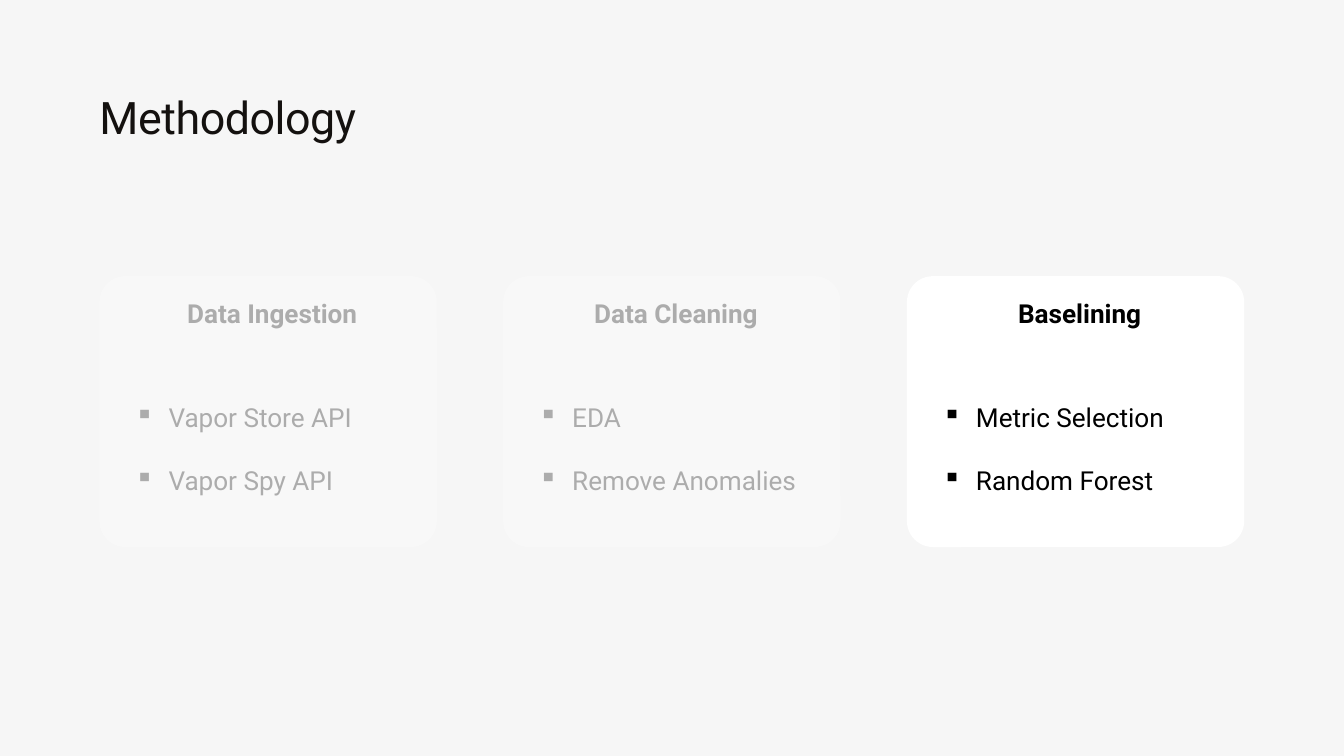
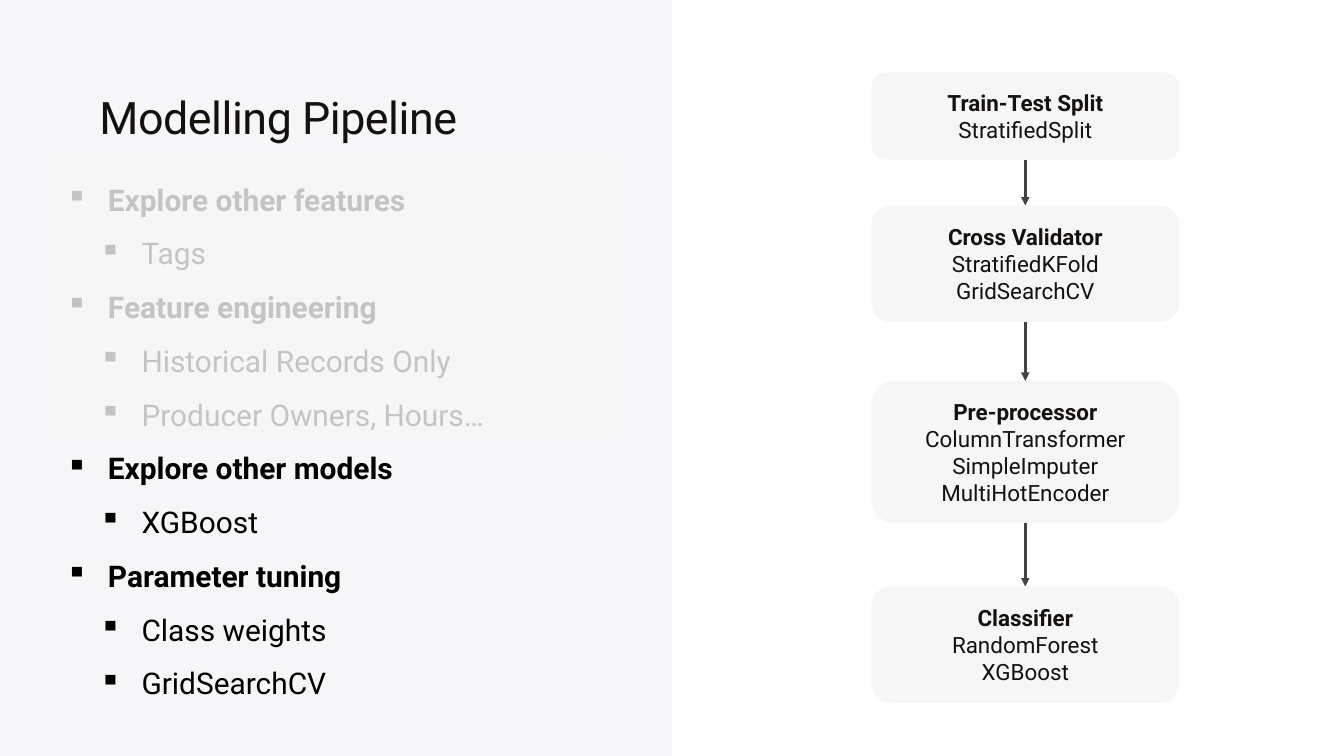
from itertools import pairwise

from lxml import etree
from pptx import Presentation
from pptx.dml.color import RGBColor
from pptx.enum.shapes import MSO_CONNECTOR, MSO_SHAPE
from pptx.enum.text import MSO_ANCHOR, MSO_AUTO_SIZE, PP_ALIGN
from pptx.oxml.ns import qn
from pptx.util import Cm, Pt

RECT, ROUNDED = MSO_SHAPE.RECTANGLE, MSO_SHAPE.ROUNDED_RECTANGLE
STRAIGHT = MSO_CONNECTOR.STRAIGHT
TOP, MIDDLE = MSO_ANCHOR.TOP, MSO_ANCHOR.MIDDLE
LEFT, CENTER = PP_ALIGN.LEFT, PP_ALIGN.CENTER
GROW = MSO_AUTO_SIZE.SHAPE_TO_FIT_TEXT

FONT = "Roboto"
INK, BLACK, WHITE = "14110F", "000000", "FFFFFF"
MIST, PANEL, ARROW = "F6F6F6", "F6F6F8", "434343"
WIDTH, HEIGHT = 50.8, 28.58
TITLE_BOX = (3.76, 3.23, 43.28, 2.13)
TITLE_FRAME = dict(margin_left=0, margin_top=0, margin_right=0, margin_bottom=0,
                   word_wrap=True, vertical_anchor=TOP, auto_size=GROW)

STAGES = [
    ("Data Ingestion", ["Vapor Store API", "Vapor Spy API"]),
    ("Data Cleaning", ["EDA", "Remove Anomalies"]),
    ("Baselining", ["Metric Selection", "Random Forest"]),
]
STAGE_VEILS = [(2.34, 9.42, 15.24, 12.5), (17.78, 9.32, 15.24, 12.5)]

PLAN = [
    ("Explore other features", ["Tags"]),
    ("Feature engineering", ["Historical Records Only", "Producer Owners, Hours…"]),
    ("Explore other models", ["XGBoost"]),
    ("Parameter tuning", ["Class weights", "GridSearchCV"]),
]
STEPS = [
    (2.74, 3.3, ["Train-Test Split", "StratifiedSplit"]),
    (7.77, 4.4, ["Cross Validator", "StratifiedKFold", "GridSearchCV"]),
    (14.4, 5.38, ["Pre-processor", "ColumnTransformer", "SimpleImputer", "MultiHotEncoder"]),
    (22.17, 4.4, ["Classifier", "RandomForest", "XGBoost"]),
]


def color(hex_code):
    return RGBColor.from_string(hex_code)


def cm(box):
    return [Cm(length) for length in box]


def apply(target, values):
    for name, value in values.items():
        setattr(target, name, value)


def write(paragraph, text, size, ink, bold=False, **layout):
    apply(paragraph, layout)
    run = paragraph.add_run()
    run.text = text
    apply(run.font, dict(name=FONT, size=Pt(size), bold=bold))
    run.font.color.rgb = color(ink)
    return run


def bullet(paragraph, margin, hanging):
    properties = paragraph._p.get_or_add_pPr()
    properties.set("marL", str(Cm(margin)))
    properties.set("indent", str(-Cm(hanging)))
    etree.SubElement(properties, qn("a:buChar")).set("char", "▪")


def paragraphs(frame, count):
    return [frame.paragraphs[0]] + [frame.add_paragraph() for _ in range(count - 1)]


def text_frame(slide, box):
    frame = slide.shapes.add_textbox(*cm(box)).text_frame
    apply(frame, dict(word_wrap=True, auto_size=GROW))
    return frame


def block(slide, kind, box, fill, opacity=100):
    shape = slide.shapes.add_shape(kind, *cm(box))
    shape.shadow.inherit = False
    shape.fill.solid()
    shape.fill.fore_color.rgb = color(fill)
    shape.line.fill.background()
    if opacity < 100:
        tint = shape.element.spPr.find(".//" + qn("a:srgbClr"))
        etree.SubElement(tint, qn("a:alpha")).set("val", str(opacity * 1000))
    return shape


def titled_slide(deck, title, background):
    slide = deck.slides.add_slide(deck.slide_layouts[5])
    slide.background.fill.solid()
    slide.background.fill.fore_color.rgb = color(background)
    heading = slide.shapes.title
    apply(heading, dict(zip(("left", "top", "width", "height"), cm(TITLE_BOX))))
    apply(heading.text_frame, TITLE_FRAME)
    run = write(heading.text_frame.paragraphs[0], title, 48, INK,
                alignment=LEFT, line_spacing=Pt(62.4))
    run._r.get_or_add_rPr().set("spc", "-50")
    return slide


def stage_card(slide, box, name, tasks):
    left, top, width, _ = box
    block(slide, ROUNDED, box, WHITE).adjustments[0] = 0.096
    inner = width - 2.18
    heading = text_frame(slide, (left + 1.24, top + 0.66, inner, 1.45))
    write(heading.paragraphs[0], name, 28, BLACK, True, alignment=CENTER)
    task_list = text_frame(slide, (left + 1.09, top + 3.43, inner, 4.7))
    for paragraph, task in zip(paragraphs(task_list, len(tasks)), tasks):
        bullet(paragraph, 1.27, 1.27)
        write(paragraph, task, 28, BLACK, line_spacing=2.0)


def plan_list(slide, box):
    lines = [(level, text) for topic, details in PLAN
             for level, text in [(0, topic)] + [(1, detail) for detail in details]]
    frame = text_frame(slide, box)
    for paragraph, (level, text) in zip(paragraphs(frame, len(lines)), lines):
        bullet(paragraph, 1.59 + 1.27 * level, 1.59)
        write(paragraph, text, 32, BLACK, level == 0, level=level, line_spacing=1.5)


def step_box(slide, box, lines):
    frame = block(slide, ROUNDED, box, MIST).text_frame
    apply(frame, dict(word_wrap=True, vertical_anchor=MIDDLE))
    for index, paragraph in enumerate(paragraphs(frame, len(lines))):
        write(paragraph, lines[index], 24, INK, index == 0, alignment=CENTER)


def arrow_down(slide, x, start, end):
    arrow = slide.shapes.add_connector(STRAIGHT, *cm((x, start, x, end)))
    arrow.line.width = Pt(3)
    arrow.line.color.rgb = color(ARROW)
    etree.SubElement(arrow.line._get_or_add_ln(), qn("a:tailEnd")).set("type", "triangle")
    etree.SubElement(arrow.element.spPr, qn("a:effectLst"))


def pipeline_flow(slide, left, width):
    for top, height, lines in STEPS:
        step_box(slide, (left, top, width, height), lines)
    for (top, height, _), (next_top, _, _) in pairwise(STEPS):
        arrow_down(slide, left + width / 2, top + height, next_top)


def methodology_slide(deck):
    slide = titled_slide(deck, "Methodology", MIST)
    for index, (name, tasks) in enumerate(STAGES):
        stage_card(slide, (3.76 + 15.26 * index, 10.44, 12.75, 10.24), name, tasks)
    for veil in STAGE_VEILS:
        block(slide, RECT, veil, MIST, 70)


def pipeline_slide(deck):
    slide = titled_slide(deck, "Modelling Pipeline", WHITE)
    panel = block(slide, RECT, (0, 0, WIDTH / 2, HEIGHT), PANEL)
    slide.shapes.title.element.addprevious(panel.element)
    plan_list(slide, (2.24, 6.05, 20.93, 20.55))
    pipeline_flow(slide, 32.94, 11.63)
    block(slide, RECT, (2.24, 5.82, 20.93, 10.59), MIST, 80)


def main():
    deck = Presentation()
    apply(deck, dict(slide_width=Cm(WIDTH), slide_height=Cm(HEIGHT)))
    methodology_slide(deck)
    pipeline_slide(deck)
    deck.save("out.pptx")


if __name__ == "__main__":
    main()
